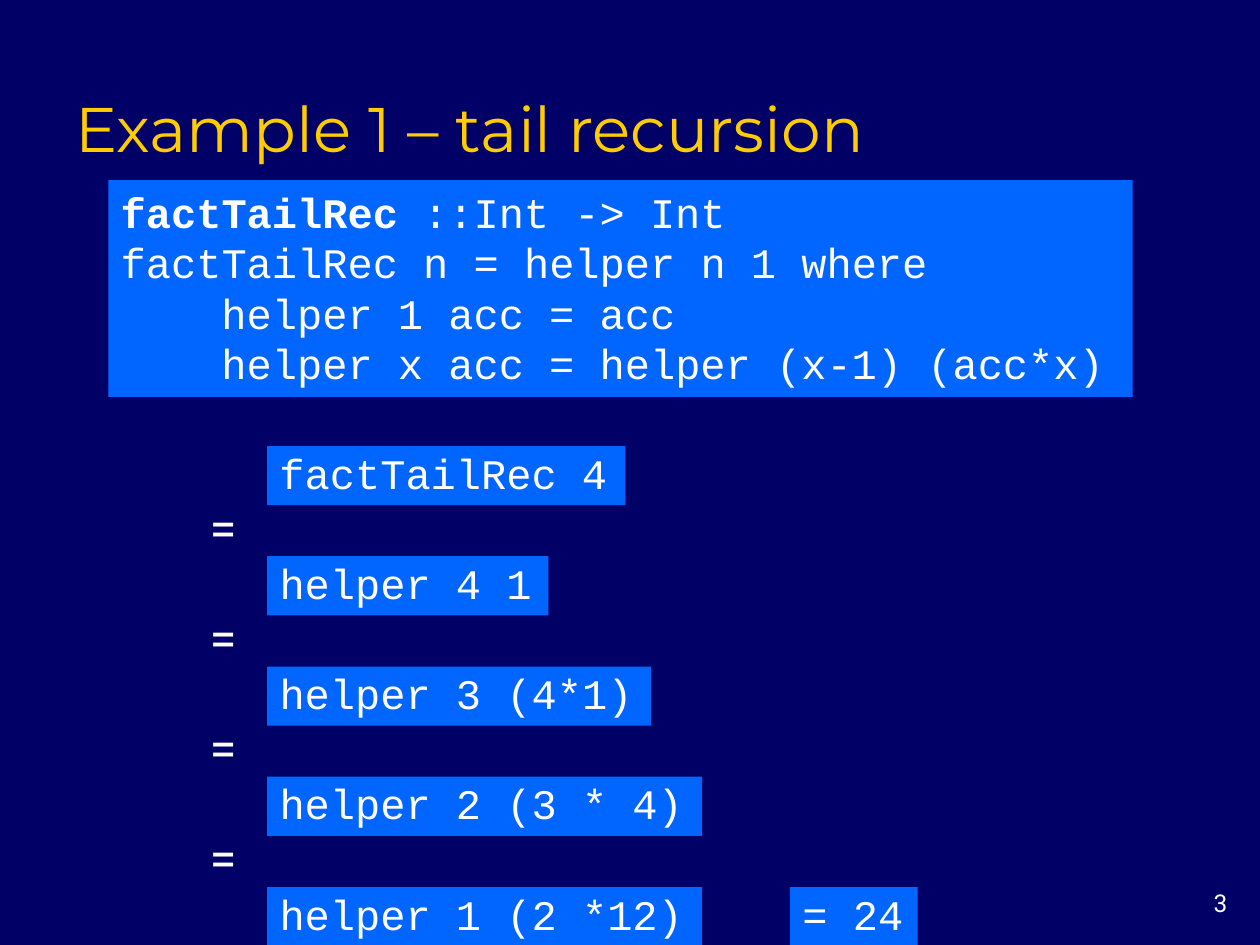
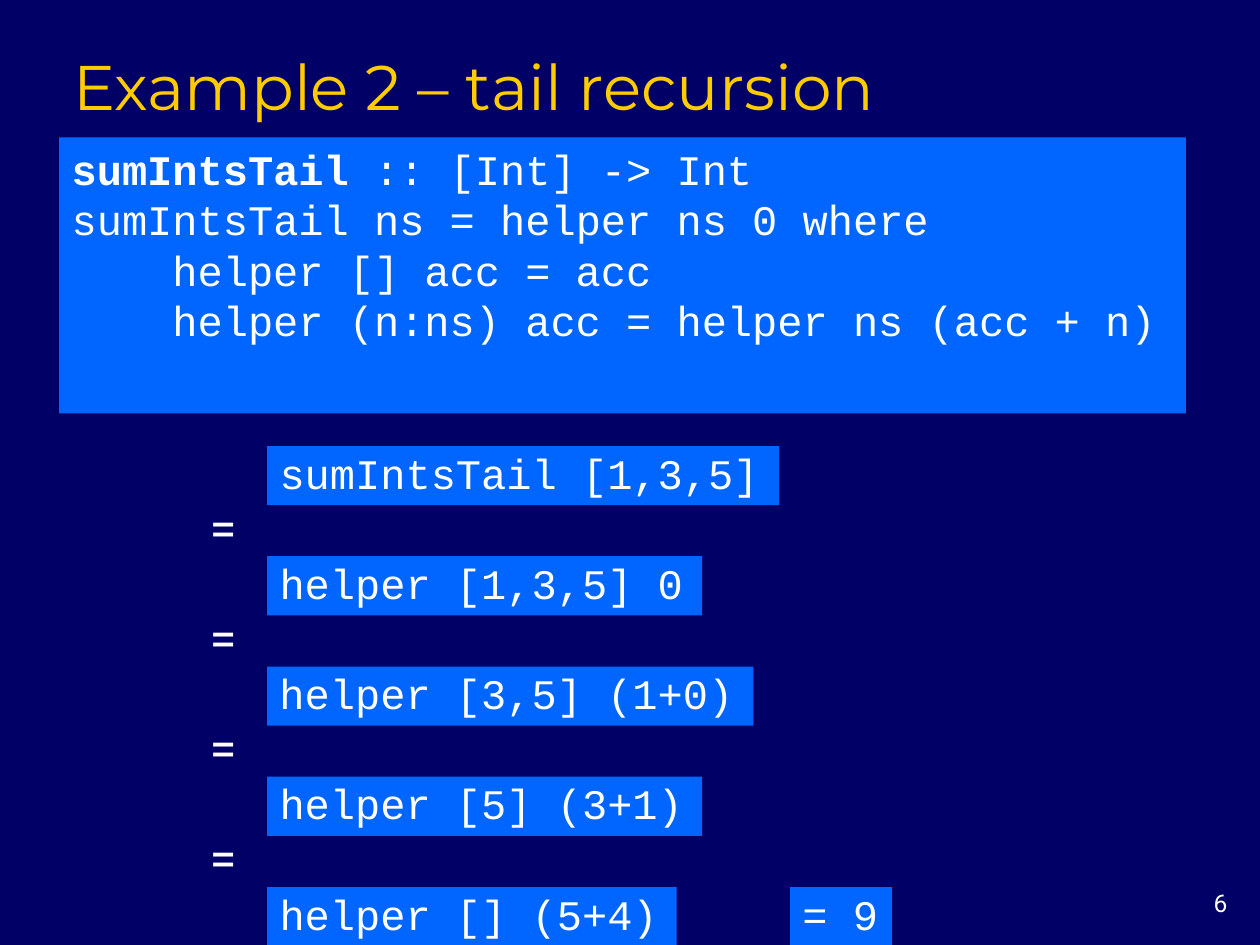
from dataclasses import dataclass

from pptx import Presentation
from pptx.dml.color import RGBColor
from pptx.enum.shapes import MSO_SHAPE
from pptx.enum.text import MSO_ANCHOR, MSO_AUTO_SIZE, PP_ALIGN
from pptx.util import Inches, Pt

RECT = MSO_SHAPE.RECTANGLE
TOP, MID, LOW = MSO_ANCHOR.TOP, MSO_ANCHOR.MIDDLE, MSO_ANCHOR.BOTTOM
LEFT, MIDDLE, RIGHT = PP_ALIGN.LEFT, PP_ALIGN.CENTER, PP_ALIGN.RIGHT
FIXED = MSO_AUTO_SIZE.NONE


@dataclass(frozen=True)
class Theme:
    back: RGBColor = RGBColor(0x00, 0x00, 0x66)
    panel: RGBColor = RGBColor(0x00, 0x66, 0xFF)
    gold: RGBColor = RGBColor(0xFF, 0xCC, 0x00)
    white: RGBColor = RGBColor(0xFF, 0xFF, 0xFF)
    head: str = "Montserrat"
    body: str = "Roboto"
    mono: str = "Courier New"
    large: int = 36
    sign: int = 28
    code: int = 24
    small: int = 14


THEME = Theme()
HEAD = dict(name=THEME.head, size=Pt(THEME.large), bold=False)
SIGN = dict(name=THEME.body, size=Pt(THEME.sign), bold=False)
CODE = dict(name=THEME.mono, size=Pt(THEME.code), bold=False)
PAGE = dict(name=THEME.body, size=Pt(THEME.small), bold=False)

STEP = dict(left=2.12, top=3.54, gap=3.5 / 4, high=0.47)
EQUAL = dict(left=1.53, rise=0.52, wide=0.48, high=0.57)

SLIDES = [
    dict(
        title="Example 1 – tail recursion", spot=(0.5, 0.42), page="3",
        code=(0.86, 1.43, 1.72), name="factTailRec",
        lines=[(0, " ::Int -> Int"),
               (0, "factTailRec n = helper n 1 where"),
               (4, "helper 1 acc = acc"),
               (4, "helper x acc = helper (x-1) (acc*x)")],
        steps=["factTailRec 4", "helper 4 1", "helper 3 (4*1)",
               "helper 2 (3 * 4)", "helper 1 (2 *12)"],
        result="= 24"),
    dict(
        title="Example 2 – tail recursion", spot=(0.48, 0.09), page="6",
        code=(0.47, 1.09, 2.19), name="sumIntsTail",
        lines=[(0, " :: [Int] -> Int"),
               (0, "sumIntsTail ns = helper ns 0 where"),
               (4, "helper [] acc = acc"),
               (4, "helper (n:ns) acc = helper ns (acc + n)")],
        steps=["sumIntsTail [1,3,5]", "helper [1,3,5] 0",
               "helper [3,5] (1+0)", "helper [5] (3+1)", "helper [] (5+4)"],
        result="= 9"),
]


def apply(item, values):
    for key, value in values.items():
        setattr(item, key, value)


def span(count):
    return 0.2 + count * 0.61 / 3


def write(para, text, style, color=THEME.white, **extra):
    run = para.add_run()
    run.text = text
    apply(run.font, {**style, **extra})
    run.font.color.rgb = color


def frame(shape, anchor, wrap=True):
    apply(shape.text_frame, dict(
        auto_size=FIXED, word_wrap=wrap, vertical_anchor=anchor))
    return shape.text_frame


def panel(slide, box, anchor):
    shape = slide.shapes.add_shape(RECT, *map(Inches, box))
    shape.shadow.inherit = False
    shape.fill.solid()
    shape.fill.fore_color.rgb = THEME.panel
    shape.line.fill.background()
    return frame(shape, anchor)


def label(slide, box, text, style, align, anchor):
    shape = slide.shapes.add_textbox(*map(Inches, box))
    para = frame(shape, anchor).paragraphs[0]
    para.alignment = align
    write(para, text, style)


def title(slide, spot, text):
    shape = slide.shapes.title
    left, top = spot
    apply(shape, dict(left=Inches(left), top=Inches(top),
                      width=Inches(8.61), height=Inches(0.94)))
    para = frame(shape, LOW).paragraphs[0]
    para.alignment = LEFT
    write(para, text, HEAD, THEME.gold)


def listing(slide, box, name, lines):
    left, top, high = box
    wide = span(max(dent + len(text) for dent, text in lines))
    body = panel(slide, (left, top, wide, high), TOP)
    for row, (dent, text) in enumerate(lines):
        para = body.add_paragraph() if row else body.paragraphs[0]
        para.alignment = LEFT
        if dent:
            para._p.get_or_add_pPr().set("marL", str(Inches(dent * 0.2)))
        if not row:
            write(para, name, CODE, bold=True)
        write(para, text, CODE)


def step(slide, left, top, text):
    body = panel(slide, (left, top, span(len(text)), STEP["high"]), MID)
    para = body.paragraphs[0]
    apply(para, dict(alignment=LEFT, line_spacing=0.9))
    write(para, text, CODE)


def trace(slide, left, top, steps, result):
    for row, text in enumerate(steps):
        level = top + row * STEP["gap"]
        step(slide, left, level, text)
        if row:
            box = (EQUAL["left"], level - EQUAL["rise"],
                   EQUAL["wide"], EQUAL["high"])
            label(slide, box, "=", SIGN, MIDDLE, MID)
    step(slide, left + 4.15, level, result)


def build(deck, data):
    slide = deck.slides.add_slide(deck.slide_layouts[5])
    title(slide, data["spot"], data["title"])
    listing(slide, data["code"], data["name"], data["lines"])
    trace(slide, STEP["left"], STEP["top"], data["steps"], data["result"])
    label(slide, (9.17, 7, 0.67, 0.33), data["page"], PAGE, RIGHT, TOP)


def main():
    deck = Presentation()
    apply(deck, dict(slide_width=Inches(10), slide_height=Inches(7.5)))
    fill = deck.slide_master.background.fill
    fill.solid()
    fill.fore_color.rgb = THEME.back
    for data in SLIDES:
        build(deck, data)
    deck.save("out.pptx")


if __name__ == "__main__":
    main()
